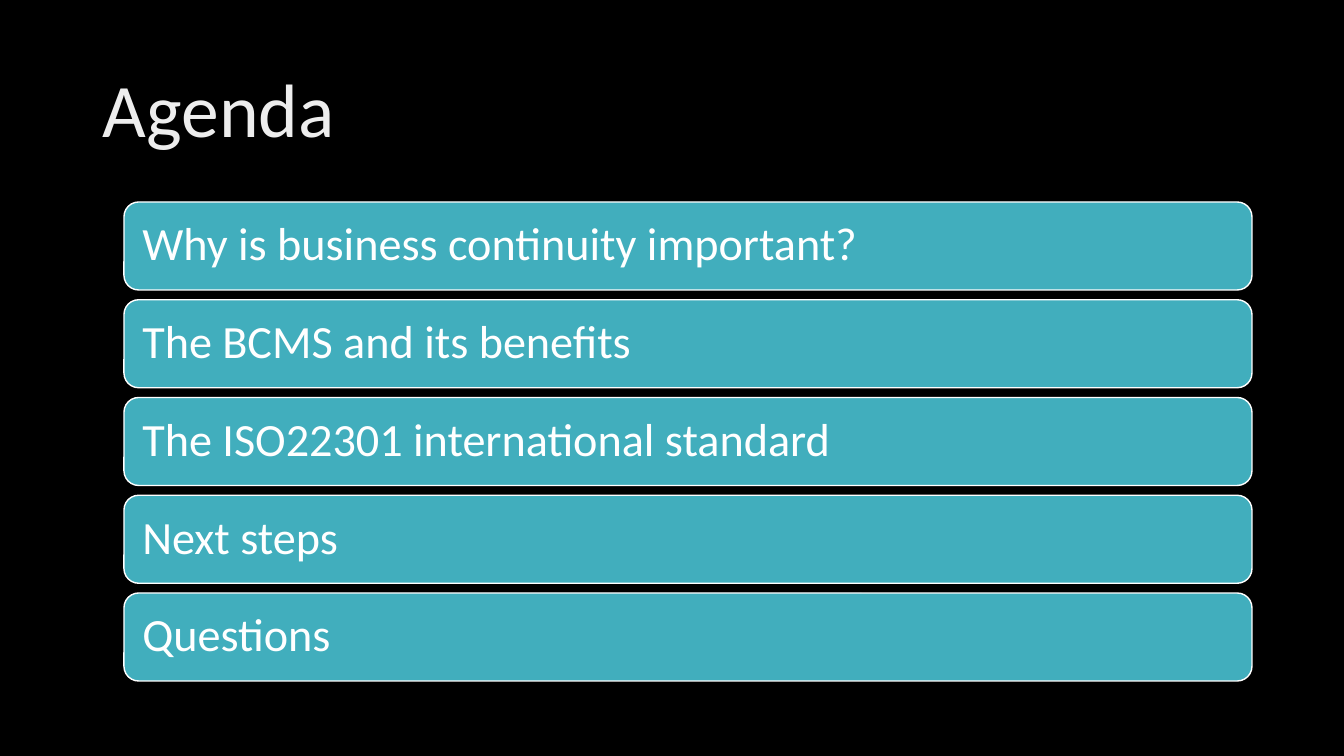
from pptx import Presentation
from pptx.dml.color import RGBColor
from pptx.enum.shapes import MSO_SHAPE
from pptx.enum.text import MSO_ANCHOR, PP_ALIGN
from pptx.util import Pt

TITLE = "Agenda"
TOPICS = [
    "Why is business continuity important?",
    "The BCMS and its benefits",
    "The ISO22301 international standard",
    "Next steps",
    "Questions",
]
COLORS = {"background": "000000", "title": "EDEDED", "bar": "41AEBD", "white": "FFFFFF"}
FONT = "Calibri"

SLIDE_SIZE = (1344, 756)
TITLE_BOX = (93, 40, 1159, 146)
BAR_LEFT, BAR_WIDTH, BAR_HEIGHT = 124, 1128, 88
FIRST_TOP, LAST_TOP = 202, 593
BAR_INSET = 14


def px(length):
    return round(length * 914400 / 100.8)


def color(name):
    return RGBColor.from_string(COLORS[name])


def write(shape, text, size, color_name, inset):
    """Put one left-aligned, vertically centred line into a shape."""
    frame = shape.text_frame
    frame.word_wrap = True
    frame.vertical_anchor = MSO_ANCHOR.MIDDLE
    frame.margin_left = frame.margin_right = px(inset)
    frame.text = text
    para = frame.paragraphs[0]
    para.alignment = PP_ALIGN.LEFT
    para.line_spacing = 0.9
    para.font.name = FONT
    para.font.size = Pt(size)
    para.font.color.rgb = color(color_name)


def add_bar(page, top, topic):
    bar = page.shapes.add_shape(
        MSO_SHAPE.ROUNDED_RECTANGLE,
        px(BAR_LEFT), px(top), px(BAR_WIDTH), px(BAR_HEIGHT),
    )
    bar.shadow.inherit = False
    bar.fill.solid()
    bar.fill.fore_color.rgb = color("bar")
    bar.line.color.rgb = color("white")
    bar.line.width = Pt(1)
    write(bar, topic, 33, "white", BAR_INSET)


def main():
    deck = Presentation()
    deck.slide_width, deck.slide_height = map(px, SLIDE_SIZE)
    page = deck.slides.add_slide(deck.slide_layouts[6])
    page.background.fill.solid()
    page.background.fill.fore_color.rgb = color("background")

    title = page.shapes.add_textbox(*map(px, TITLE_BOX))
    write(title, TITLE, 54, "title", 10)

    pitch = (LAST_TOP - FIRST_TOP) / (len(TOPICS) - 1)
    for row, topic in enumerate(TOPICS):
        add_bar(page, FIRST_TOP + row * pitch, topic)

    deck.save("out.pptx")


if __name__ == "__main__":
    main()
